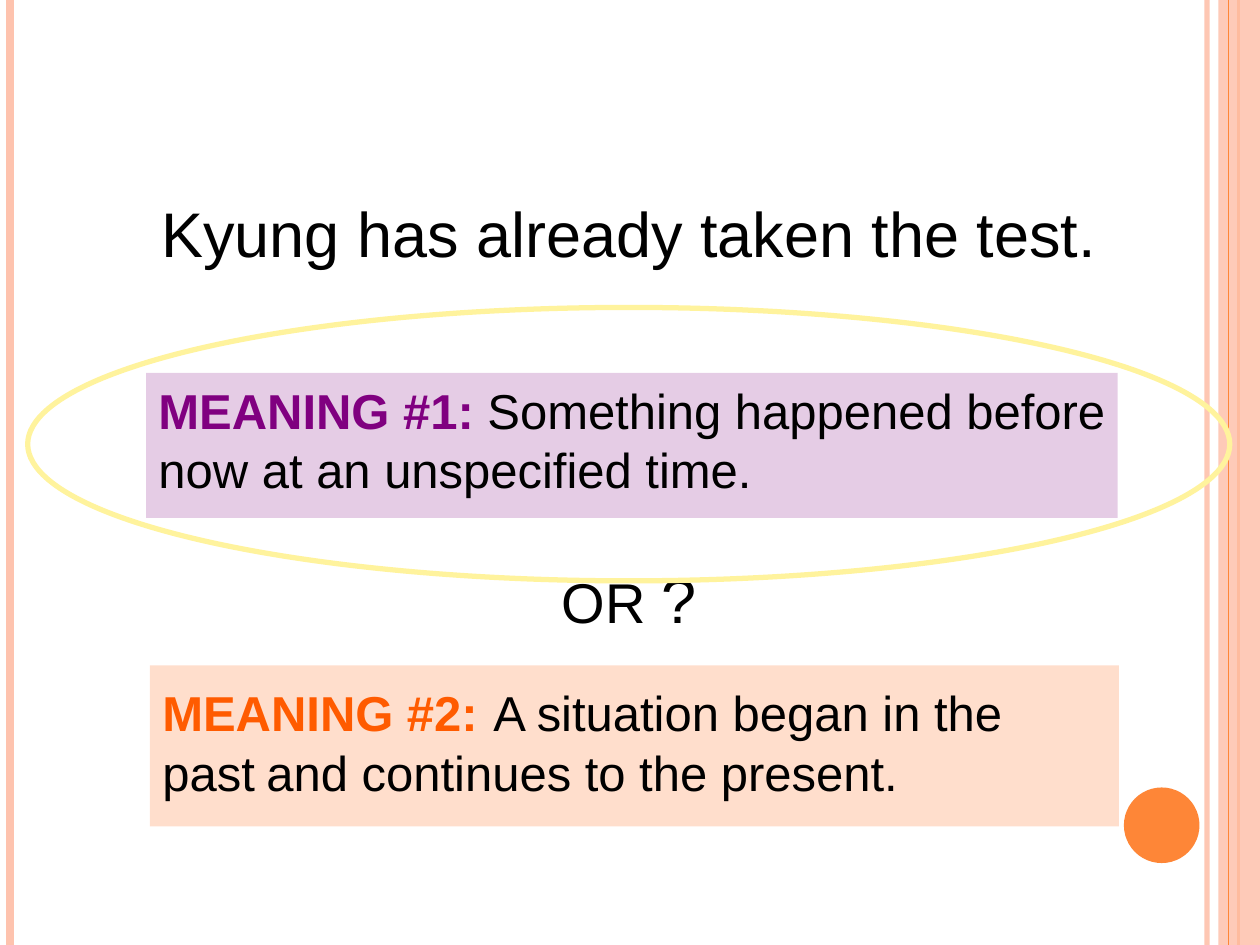
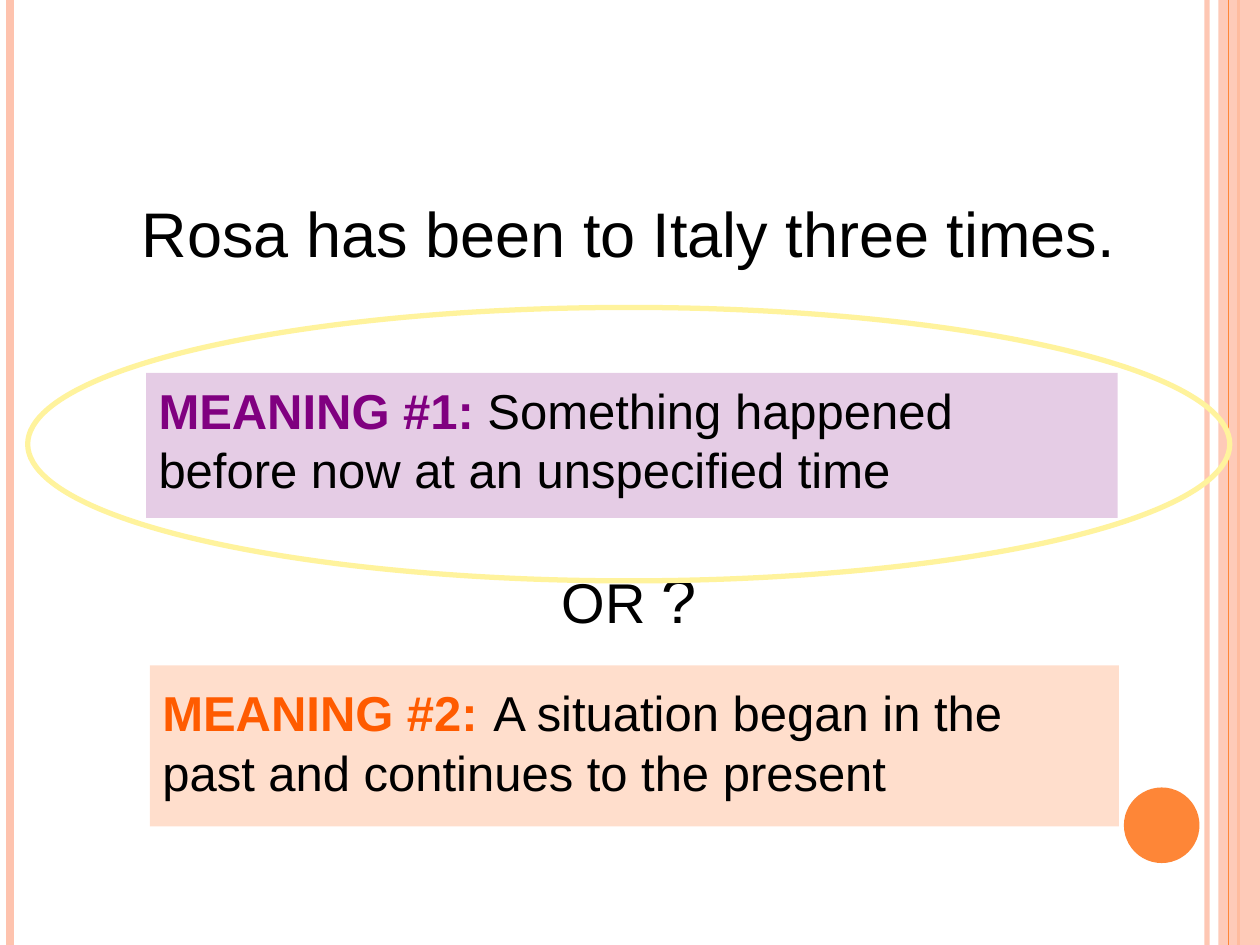
from lxml import etree
from pptx import Presentation
from pptx.dml.color import RGBColor
from pptx.enum.shapes import MSO_CONNECTOR as Connector, MSO_SHAPE as Preset
from pptx.enum.text import MSO_ANCHOR as Anchor, PP_ALIGN as Align
from pptx.oxml.ns import qn
from pptx.util import Inches, Pt

COLUMNS, ROWS = 100, 75
CELL = Inches(0.1)
FONT = "Arial"
TITLE_ONLY = 5
COLORS = {
    "text": "000000",
    "peach": "FEC3AE",
    "orange": "FE8637",
    "ring": "FFF39D",
    "first": "800080",
    "second": "FF5B00",
}
# Column, colour, width in points, opacity in percent
LEFT_STRIPES = [(95.8, "peach", 3, 93), (0.8, "peach", 4.5, 100), (98.3, "orange", 1.5, 100)]
FRONT_STRIPE = (97.5, "orange", 0.75, 100)

# Each span is its text and size in points
SLIDES = [
    {
        "sentence": "Kyung has already taken the test.",
        "first": [(" Something happened before now at an unspecified time.", 28)],
        "first_width": 77.7,
        "second": [(" ", 32), ("A situation began in the\npast", 28), (" ", 24),
                   ("and continues to the present.", 28)],
    },
    {
        "sentence": "Rosa has been to Italy three times.",
        "first": [(" Something happened\nbefore now at an unspecified time", 28)],
        "first_width": 77.1,
        "second": [(" ", 32), ("A situation began in the\npast and continues to the present", 28)],
    },
]


def grid(*cells):
    """Turn columns and rows of the slide grid into lengths."""
    return [round(cell * CELL) for cell in cells]


def rgb(name):
    return RGBColor.from_string(COLORS[name])


def set_opacity(shape, percent):
    if percent < 100:
        for color in shape.element.spPr.iter(qn("a:srgbClr")):
            etree.SubElement(color, qn("a:alpha")).set("val", str(percent * 1000))


def add_stripe(page, column, color, width, opacity):
    stripe = page.shapes.add_connector(Connector.STRAIGHT, *grid(column, 0, column, ROWS))
    stripe.line.color.rgb = rgb(color)
    stripe.line.width = Pt(width)
    set_opacity(stripe, opacity)
    etree.SubElement(stripe.element.spPr, qn("a:effectLst"))


def add_figure(page, preset, place, fill=None, opacity=100, line=None):
    figure = page.shapes.add_shape(preset, *grid(*place))
    figure.shadow.inherit = False
    if fill:
        figure.fill.solid()
        figure.fill.fore_color.rgb = rgb(fill)
        set_opacity(figure, opacity)
    else:
        figure.fill.background()
    if line:
        figure.line.color.rgb = rgb(line)
        figure.line.width = Pt(3)
    else:
        figure.line.fill.background()


def add_span(para, text, size=28, color="text", bold=False):
    for index, part in enumerate(text.split("\n")):
        if index:
            para.add_line_break()
        span = para.add_run()
        span.text = part
        span.font.name = FONT
        span.font.size = Pt(size)
        span.font.bold = bold
        span.font.color.rgb = rgb(color)


def fill_box(box, spans, wrap=True, align=Align.LEFT):
    """Write spans, given as keyword dicts, into the box's only paragraph."""
    frame = box.text_frame
    frame.word_wrap = wrap
    frame.vertical_anchor = Anchor.TOP
    para = frame.paragraphs[0]
    para.alignment = align
    for span in spans:
        add_span(para, **span)


def add_text(page, place, spans, **format):
    fill_box(page.shapes.add_textbox(*grid(*place)), spans, **format)


def set_title(page, sentence):
    title = page.shapes.title
    title.left, title.top, title.width, title.height = grid(7.9, 14.9, 84, 7)
    fill_box(title, [{"text": sentence, "size": 36}], align=Align.CENTER)


def add_meaning(page, number, color, panel, text_place, spans):
    add_figure(page, Preset.RECTANGLE, panel, fill=color, opacity=20)
    label = {"text": f"MEANING #{number}:", "color": color, "bold": True}
    add_text(page, text_place, [label] + [{"text": text, "size": size} for text, size in spans])


def decorate_layout(page):
    """Draw the shared bands, then move them into the layout of the page."""
    for stripe in LEFT_STRIPES:
        add_stripe(page, *stripe)
    add_figure(page, Preset.RECTANGLE, (96.7, 0, 3.3, ROWS), fill="peach", opacity=87)
    add_stripe(page, *FRONT_STRIPE)
    add_figure(page, Preset.OVAL, (89.2, 62.5, 6, 6), fill="orange")
    for shape in list(page.shapes):
        if not shape.is_placeholder:
            page.slide_layout.shapes.element.append(shape.element)


def fill_page(page, content):
    set_title(page, content["sentence"])
    add_meaning(page, 1, "first", (11.6, 29.6, 77.1, 11.5),
                (11.6, 29.7, content["first_width"], 10.3), content["first"])
    add_meaning(page, 2, "second", (11.9, 52.8, 76.9, 12.8),
                (11.9, 53.1, 76.9, 11), content["second"])
    add_text(page, (43.6, 44, 12.7, 7),
             [{"text": "OR ", "size": 32}, {"text": "?", "size": 36}], wrap=False)
    add_figure(page, Preset.OVAL, (2.2, 24.4, 95.4, 21.7), line="ring")


def main():
    deck = Presentation()
    deck.slide_width, deck.slide_height = grid(COLUMNS, ROWS)
    layout = deck.slide_layouts[TITLE_ONLY]
    pages = [deck.slides.add_slide(layout) for _ in SLIDES]
    decorate_layout(pages[0])
    for page, content in zip(pages, SLIDES):
        fill_page(page, content)
    deck.save("out.pptx")


if __name__ == "__main__":
    main()
